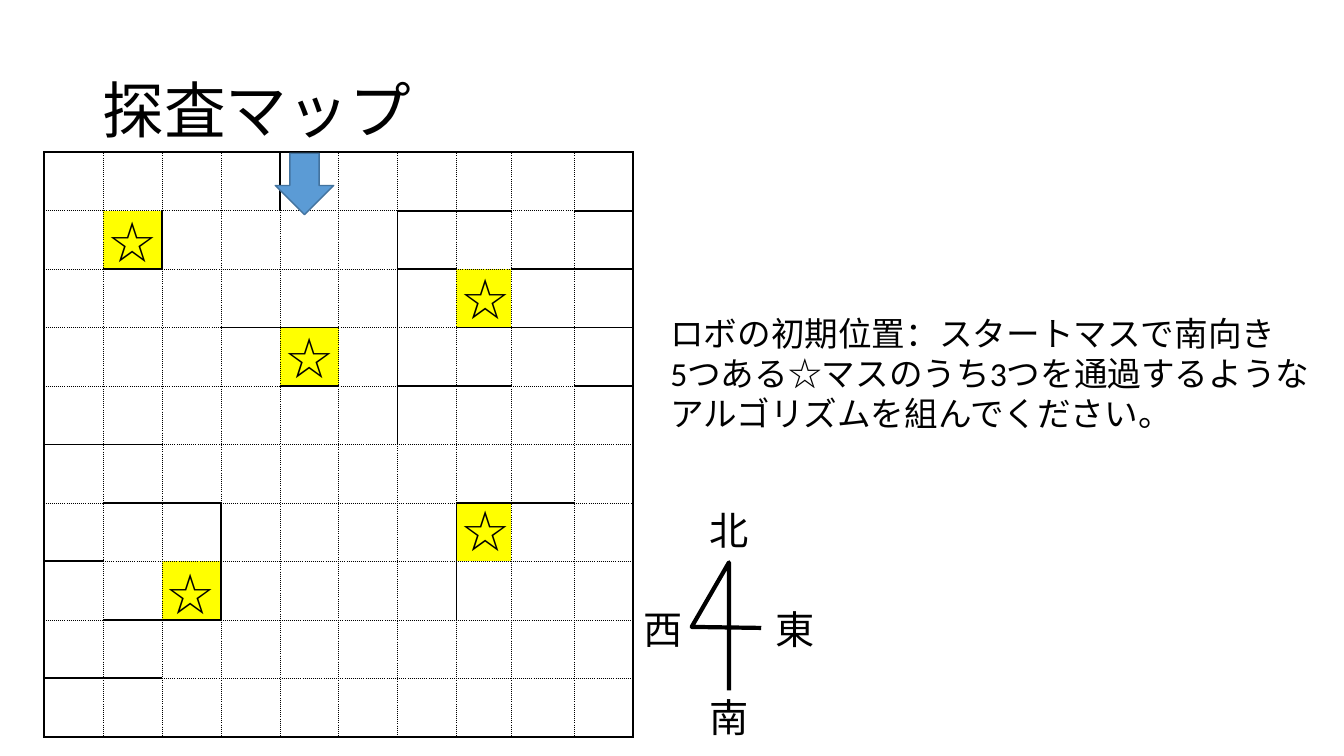
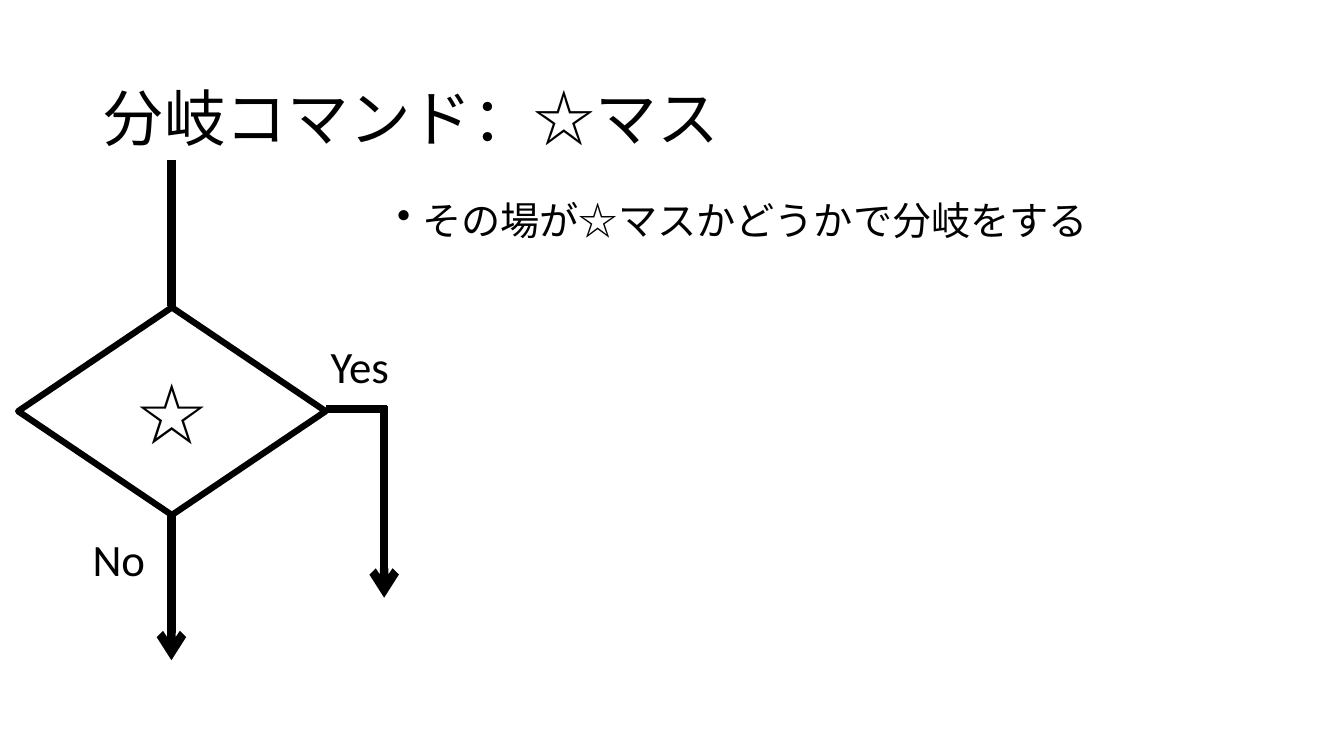
from lxml import etree
from pptx import Presentation, util as u
from pptx.dml.color import RGBColor
from pptx.enum import shapes, text
from pptx.oxml import ns

Inches = u.Inches
FONT = "Calibri"
BLACK, WHITE, YELLOW = "000000", "FFFFFF", "FFFF00"
BLUE, DARK_BLUE = "5B9BD5", "43739E"
STAR = "☆"

GRID = 10
MAP_LEFT, MAP_TOP, MAP_WIDTH, MAP_HEIGHT = 0.44, 1.51, 5.84, 5.8
COLUMN_ADJUST = {7: -0.04, 8: 0.04}
WALLS_BELOW = {
    -1: range(GRID), 0: (6, 7, 9), 1: (1, 6, 8, 9), 2: (3, 4, 7, 8, 9),
    3: (4, 6, 7, 9), 4: (0, 1), 5: (1, 2, 7, 8), 6: (0,), 7: (1, 2),
    8: (0, 1), 9: range(GRID),
}
WALLS_RIGHT = {
    -1: range(GRID), 1: (1,), 2: (6, 7), 3: (0,), 5: (1, 2, 3, 4),
    6: (6, 7), 9: range(GRID),
}
STAR_CELLS = {
    (3, 4): (2.72, 3.15), (2, 7): (4.47, 2.57), (7, 2): (1.54, 5.49),
    (1, 1): (0.97, 2), (6, 7): (4.47, 4.87),
}


def color(value):
    """Turn a hex string into a colour."""
    return RGBColor.from_string(value)


def sub_element(parent, tag, **attributes):
    """Append a DrawingML element."""
    return etree.SubElement(parent, ns.qn(tag), attributes)


def write(frame, lines, size, align=None, spacing=None):
    """Fill a text frame with evenly formatted paragraphs."""
    frame.text = "\n".join(lines)
    for paragraph in frame.paragraphs:
        paragraph.font.name = FONT
        paragraph.font.size = u.Pt(size)
        paragraph.font.color.rgb = color(BLACK)
        paragraph.alignment = align
        paragraph.line_spacing = spacing


def add_text(slide, box, lines, size, align=None, spacing=None, wrap=True):
    """Add a text box and return its frame."""
    frame = slide.shapes.add_textbox(*map(Inches, box)).text_frame
    frame.word_wrap = wrap
    write(frame, lines, size, align, spacing)
    return frame


def add_title(slide, title, top):
    """Add the slide title."""
    frame = add_text(slide, (0.92, top, 11.5, 1.45), [title], 44, spacing=0.9)
    frame.vertical_anchor = text.MSO_ANCHOR.MIDDLE


def add_bullet(slide, box, line):
    """Add a text box with one bulleted paragraph."""
    frame = add_text(slide, box, [line], 28, spacing=0.9)
    paragraph = frame.paragraphs[0]
    paragraph.space_before = u.Pt(10)
    properties = paragraph._p.get_or_add_pPr()
    properties.set("marL", str(Inches(0.25)))
    properties.set("indent", str(Inches(-0.25)))
    bullet = etree.Element(ns.qn("a:buChar"), char="•")
    properties.find(ns.qn("a:defRPr")).addprevious(bullet)


def add_shape(slide, kind, box, fill, line, width):
    """Add a filled and outlined preset shape."""
    shape = slide.shapes.add_shape(kind, *map(Inches, box))
    shape.shadow.inherit = False
    shape.fill.solid()
    shape.fill.fore_color.rgb = color(fill)
    shape.line.color.rgb = color(line)
    shape.line.width = u.Pt(width)
    return shape


def add_line(slide, start, end, arrow=False):
    """Add a thick straight line, with an arrowhead at its end if asked."""
    connector = slide.shapes.add_connector(
        shapes.MSO_CONNECTOR.STRAIGHT, *map(Inches, start + end))
    connector.line.color.rgb = color(BLACK)
    connector.line.width = u.Pt(6)
    if arrow:
        sub_element(connector.line._get_or_add_ln(), "a:tailEnd", type="arrow")
    sub_element(connector._element.spPr, "a:effectLst")


def set_border(cell, side, wall):
    """Draw one cell side as a solid wall or a dotted grid line."""
    width = u.Pt(1.5 if wall else 0.5)
    properties = cell._tc.get_or_add_tcPr()
    line = sub_element(properties, "a:ln" + side, w=str(width))
    fill = sub_element(line, "a:solidFill")
    sub_element(fill, "a:srgbClr", val=BLACK)
    sub_element(line, "a:prstDash", val="solid" if wall else "sysDot")


def add_map(slide):
    """Add the grid with its walls and yellow star cells."""
    box = map(Inches, (MAP_LEFT, MAP_TOP, MAP_WIDTH, MAP_HEIGHT))
    table = slide.shapes.add_table(GRID, GRID, *box).table
    table.first_row = table.horz_banding = False
    for index in range(GRID):
        adjust = COLUMN_ADJUST.get(index, 0)
        table.columns[index].width = Inches(MAP_WIDTH / GRID + adjust)
        table.rows[index].height = Inches(MAP_HEIGHT / GRID)
    for row in range(GRID):
        for column in range(GRID):
            cell = table.cell(row, column)
            set_border(cell, "L", row in WALLS_RIGHT.get(column - 1, ()))
            set_border(cell, "R", row in WALLS_RIGHT.get(column, ()))
            set_border(cell, "T", column in WALLS_BELOW[row - 1])
            set_border(cell, "B", column in WALLS_BELOW[row])
            if (row, column) in STAR_CELLS:
                cell.fill.solid()
                cell.fill.fore_color.rgb = color(YELLOW)
            else:
                cell.fill.background()


def add_compass(slide):
    """Add the compass needle and its four directions."""
    points = [(Inches(x), Inches(y)) for x, y in
              ((7.55, 6.23), (6.86, 6.22), (7.23, 5.58), (7.23, 6.85))]
    builder = slide.shapes.build_freeform(*points[0])
    builder.add_line_segments(points[1:], close=False)
    needle = builder.convert_to_shape()
    needle.shadow.inherit = False
    needle.fill.background()
    needle.line.color.rgb = color(BLACK)
    needle.line.width = u.Pt(3)
    for label, left, top in (("北", 6.94, 4.97), ("南", 6.94, 6.83),
                             ("東", 7.59, 5.96), ("西", 6.28, 5.96)):
        add_text(slide, (left, top, 0.59, 0.57), [label], 28, wrap=False)


def build_map_slide(slide):
    """Build the exploration map."""
    add_map(slide)
    add_title(slide, "探査マップ", 0.4)
    for left, top in STAR_CELLS.values():
        add_text(slide, (left, top, 0.67, 0.77), [STAR], 40,
                 text.PP_ALIGN.CENTER)
    add_text(slide, (6.55, 3.05, 6.55, 2.12), [
        "ロボの初期位置：スタートマスで南向き",
        "5つある☆マスのうち3つを通過するような\vアルゴリズムを組んでください。",
    ], 24)
    add_compass(slide)
    add_shape(slide, shapes.MSO_SHAPE.DOWN_ARROW, (2.73, 1.52, 0.58, 0.61),
              BLUE, DARK_BLUE, 1)


def build_branch_slide(slide):
    """Build the branch command flowchart."""
    add_title(slide, "分岐コマンド：☆マス", 0.48)
    add_bullet(slide, (3.84, 1.95, 8.71, 4.76),
               "その場が☆マスかどうかで分岐をする")
    add_line(slide, (1.7, 1.59), (1.7, 3.04))
    add_line(slide, (1.7, 5.1), (1.7, 6.55), arrow=True)
    decision = add_shape(slide, shapes.MSO_SHAPE.FLOWCHART_DECISION,
                         (0.18, 3.05, 3.05, 2.06), WHITE, BLACK, 4.5)
    write(decision.text_frame, [STAR], 60, text.PP_ALIGN.CENTER)
    decision.text_frame.vertical_anchor = text.MSO_ANCHOR.MIDDLE
    add_line(slide, (3.81, 4.03), (3.81, 5.93), arrow=True)
    add_line(slide, (3.23, 4.06), (3.84, 4.06))
    add_text(slide, (3.18, 3.31, 0.79, 0.64), ["Yes"], 32, wrap=False)
    add_text(slide, (0.82, 5.23, 0.73, 0.64), ["No"], 32, wrap=False)


def main():
    """Build and save the presentation."""
    presentation = Presentation()
    presentation.slide_width = Inches(13.33)
    presentation.slide_height = Inches(7.5)
    for build in (build_map_slide, build_branch_slide):
        build(presentation.slides.add_slide(presentation.slide_layouts[6]))
    presentation.save("out.pptx")


main()
